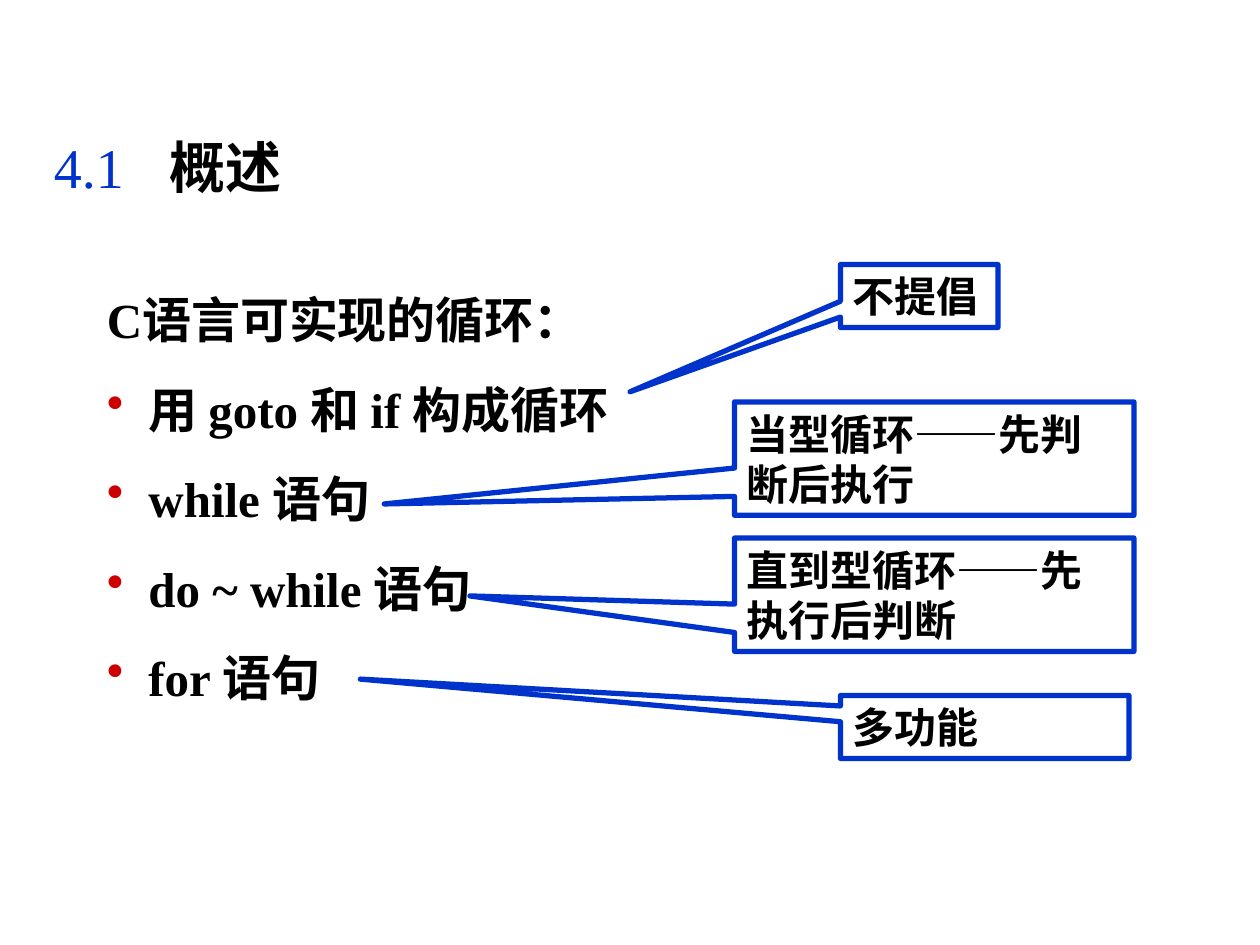
"""Build the slide that introduces the loop statements of the C language."""
from lxml.etree import SubElement
from pptx import Presentation
from pptx.dml.color import RGBColor
from pptx.enum.shapes import MSO_SHAPE
from pptx.enum.text import MSO_ANCHOR, MSO_AUTO_SIZE, PP_ALIGN
from pptx.oxml.ns import qn
from pptx.util import Inches, Pt

BLUE = RGBColor(0x00, 0x33, 0xCC)
RED = RGBColor(0xCC, 0x00, 0x00)
BLACK = RGBColor(0x00, 0x00, 0x00)
WHITE = RGBColor(0xFF, 0xFF, 0xFF)


def add_text(paragraph, text, *, font, size, color=BLACK, bold=True):
    run = paragraph.add_run()
    run.text = text
    run.font.name = font
    run.font.size = Pt(size)
    run.font.bold = bold
    run.font.color.rgb = color


class LoopSlide:
    font = "Times New Roman"
    title_size, body_size, callout_size = 32, 28, 24
    title_tab = Inches(0.92)
    bullet_indent = Inches(0.33)
    paragraph_gap = Pt(17.5)
    outline = Pt(3)

    def __init__(self, presentation):
        self.slide = presentation.slides.add_slide(presentation.slide_layouts[6])

    def text_box(self, left, top, width, height):
        shape = self.slide.shapes.add_textbox(
            Inches(left), Inches(top), Inches(width), Inches(height))
        shape.text_frame.word_wrap = True
        return shape.text_frame

    def title(self, number, text, box):
        frame = self.text_box(*box)
        frame.vertical_anchor = MSO_ANCHOR.MIDDLE
        paragraph = frame.paragraphs[0]
        tabs = SubElement(paragraph._p.get_or_add_pPr(), qn("a:tabLst"))
        SubElement(tabs, qn("a:tab"), pos=str(self.title_tab), algn="l")
        add_text(paragraph, number + "\t", font=self.font, size=self.title_size,
                 color=BLUE, bold=False)
        add_text(paragraph, text, font=self.font, size=self.title_size)

    def bullet_list(self, heading, items, box):
        frame = self.text_box(*box)
        frame.auto_size = MSO_AUTO_SIZE.SHAPE_TO_FIT_TEXT
        add_text(frame.paragraphs[0], heading, font=self.font, size=self.body_size)
        for item in items:
            paragraph = frame.add_paragraph()
            self.bullet(paragraph)
            paragraph.space_before = self.paragraph_gap
            add_text(paragraph, item, font=self.font, size=self.body_size)

    def bullet(self, paragraph):
        properties = paragraph._p.get_or_add_pPr()
        properties.set("marL", str(self.bullet_indent))
        properties.set("indent", str(-self.bullet_indent))
        color = SubElement(properties, qn("a:buClr"))
        SubElement(color, qn("a:srgbClr"), val=str(RED))
        SubElement(properties, qn("a:buChar"), char="•")

    def callout(self, text, box, tip):
        left, top, width, height = box
        shape = self.slide.shapes.add_shape(
            MSO_SHAPE.RECTANGULAR_CALLOUT,
            Inches(left), Inches(top), Inches(width), Inches(height))
        shape.shadow.inherit = False
        shape.adjustments[0] = (tip[0] - left) / width - 0.5
        shape.adjustments[1] = (tip[1] - top) / height - 0.5
        shape.fill.solid()
        shape.fill.fore_color.rgb = WHITE
        shape.line.color.rgb = BLUE
        shape.line.width = self.outline
        frame = shape.text_frame
        frame.word_wrap = True
        frame.auto_size = MSO_AUTO_SIZE.SHAPE_TO_FIT_TEXT
        frame.vertical_anchor = MSO_ANCHOR.MIDDLE
        paragraph = frame.paragraphs[0]
        paragraph.alignment = PP_ALIGN.LEFT
        add_text(paragraph, text, font=self.font, size=self.callout_size)


def main():
    presentation = Presentation()
    presentation.slide_width = Inches(10)
    presentation.slide_height = Inches(7.5)
    slide = LoopSlide(presentation)
    slide.title("4.1", "概述", (0.33, 0.9, 2.5, 0.83))
    slide.bullet_list(
        "C语言可实现的循环：",
        ["用 goto 和 if 构成循环", "while 语句", "do ~ while 语句", "for 语句"],
        (0.75, 2.25, 4.58, 3.41))
    callouts = [
        ("不提倡", (6.67, 2.1, 1.25, 0.5), (5, 3.11)),
        ("当型循环——先判断后执行", (5.83, 3.19, 3.17, 0.9), (3.05, 4)),
        ("直到型循环——先执行后判断", (5.83, 4.27, 3.17, 0.9), (3.73, 4.73)),
        ("多功能", (6.67, 5.52, 2.29, 0.5), (2.86, 5.39)),
    ]
    for text, box, tip in callouts:
        slide.callout(text, box, tip)
    presentation.save("out.pptx")


if __name__ == "__main__":
    main()
